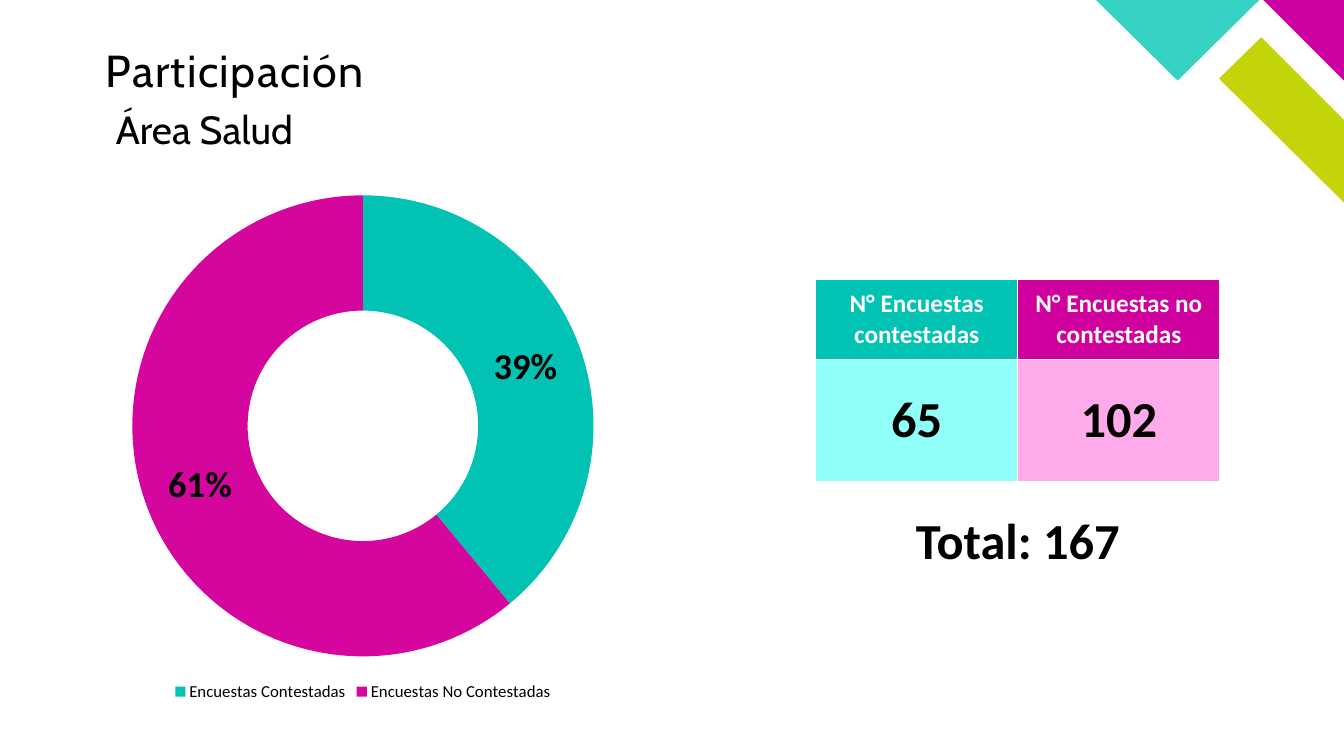
from dataclasses import dataclass

from pptx import Presentation
from pptx.chart.data import CategoryChartData
from pptx.dml.color import RGBColor
from pptx.enum.chart import XL_CHART_TYPE as Chart, XL_LEGEND_POSITION as Legend
from pptx.enum.text import MSO_ANCHOR as Anchor, PP_ALIGN as Align
from pptx.util import Inches, Pt


@dataclass(frozen=True)
class Theme:
    heading: str = "Cabin"
    body: str = "Calibri"
    black: str = "000000"
    white: str = "FFFFFF"
    title: int = 32
    subtitle: int = 28
    figure: int = 36
    header: int = 18
    share: int = 26
    legend: int = 12


T = Theme()
TITLE, SUBTITLE, TOTAL = "Participación", "Área Salud", "Total: 167"
SHARES = [
    ("Encuestas Contestadas", 0.39, "01C2B3"),
    ("Encuestas No Contestadas", 0.61, "D4069D"),
]
COUNTS = [
    ("N° Encuestas contestadas", "65", "00C3B3", "8FFFF7"),
    ("N° Encuestas no contestadas", "102", "D0009E", "FFABEB"),
]
CORNER = [
    ("C4D40A", [(13.33, 2.01), (13.33, 1.19), (12.51, 0.37), (12.09, 0.78)]),
    ("CE009F", [(13.33, 0.8), (13.33, 0), (12.53, 0)]),
    ("35D2C4", [(10.87, 0), (11.68, 0.8), (12.49, 0)]),
]
TABLE_X, TABLE_Y, COL_W, HEAD_H, ROW_H = 8.09, 2.77, 2.005, 0.8, 1.21
FIGURE_Y = TABLE_Y + HEAD_H


def rgb(value):
    return RGBColor.from_string(value)


def paint(shape, color):
    shape.fill.solid()
    shape.fill.fore_color.rgb = rgb(color)


def style(font, size, color, name=T.body, bold=False):
    font.size, font.name, font.bold = Pt(size), name, bold
    font.color.rgb = rgb(color)


def add_run(p, text, size, color, name=T.body, bold=False):
    r = p.add_run()
    r.text = text
    style(r.font, size, color, name, bold)
    return r


def add_text(s, box, text, size, name=T.body, bold=False, align=Align.LEFT,
             anchor=Anchor.TOP):
    tf = s.shapes.add_textbox(*map(Inches, box)).text_frame
    tf.word_wrap = True
    tf.vertical_anchor = anchor
    p = tf.paragraphs[0]
    p.alignment, p.line_spacing = align, 0.9
    return tf, add_run(p, text, size, T.black, name, bold)


def add_figure(s, x, y, w, text):
    add_text(s, (x, y, w, ROW_H), text, T.figure, bold=True,
             align=Align.CENTER, anchor=Anchor.MIDDLE)


def add_corner(s):
    for color, points in CORNER:
        start, *rest = [(Inches(x), Inches(y)) for x, y in points]
        builder = s.shapes.build_freeform(*start)
        builder.add_line_segments(rest, close=True)
        sp = builder.convert_to_shape()
        sp.shadow.inherit = False
        paint(sp, color)
        sp.line.fill.background()


def add_counts(s):
    box = (TABLE_X, TABLE_Y, COL_W * len(COUNTS), HEAD_H + ROW_H)
    table = s.shapes.add_table(2, len(COUNTS), *map(Inches, box)).table
    table.rows[0].height, table.rows[1].height = Inches(HEAD_H), Inches(ROW_H)
    for i, (label, count, dark, light) in enumerate(COUNTS):
        head = table.cell(0, i)
        paint(head, dark)
        paint(table.cell(1, i), light)
        head.vertical_anchor = Anchor.MIDDLE
        p = head.text_frame.paragraphs[0]
        p.alignment = Align.CENTER
        add_run(p, label, T.header, T.white, bold=True)
        add_figure(s, TABLE_X + i * COL_W, FIGURE_Y, COL_W, count)
    add_figure(s, TABLE_X, FIGURE_Y + ROW_H, box[2], TOTAL)


def add_shares(s):
    data = CategoryChartData(number_format="0%")
    data.categories = [label for label, _, _ in SHARES]
    data.add_series("Series 1", [value for _, value, _ in SHARES])
    box = map(Inches, (1, 1.8, 5.2, 5.2))
    chart = s.shapes.add_chart(Chart.DOUGHNUT, *box, data).chart
    style(chart.font, T.header, T.white)
    chart.has_title = False
    chart.has_legend = True
    chart.legend.position = Legend.BOTTOM
    chart.legend.include_in_layout = False
    style(chart.legend.font, T.legend, T.black)
    plot = chart.plots[0]
    plot.vary_by_categories = True
    for i, (_, _, color) in enumerate(SHARES):
        paint(plot.series[0].points[i].format, color)
    labels = plot.series[0].data_labels
    labels.show_value, labels.show_percentage = True, False
    labels.number_format, labels.number_format_is_linked = "0%", False
    style(labels.font, T.share, T.black, bold=True)


def main():
    prs = Presentation()
    prs.slide_width, prs.slide_height = Inches(13.33), Inches(7.5)
    s = prs.slides.add_slide(prs.slide_layouts[6])
    add_corner(s)
    add_counts(s)
    tf, r = add_text(s, (1.05, 0.48, 5.61, 0.67), TITLE, T.title, T.heading)
    tf.margin_left = tf.margin_top = tf.margin_right = tf.margin_bottom = 0
    r.font._element.set("spc", "100")
    add_text(s, (1.05, 1.05, 9.78, 0.96), SUBTITLE, T.subtitle, T.heading)
    add_shares(s)
    prs.save("out.pptx")


if __name__ == "__main__":
    main()
